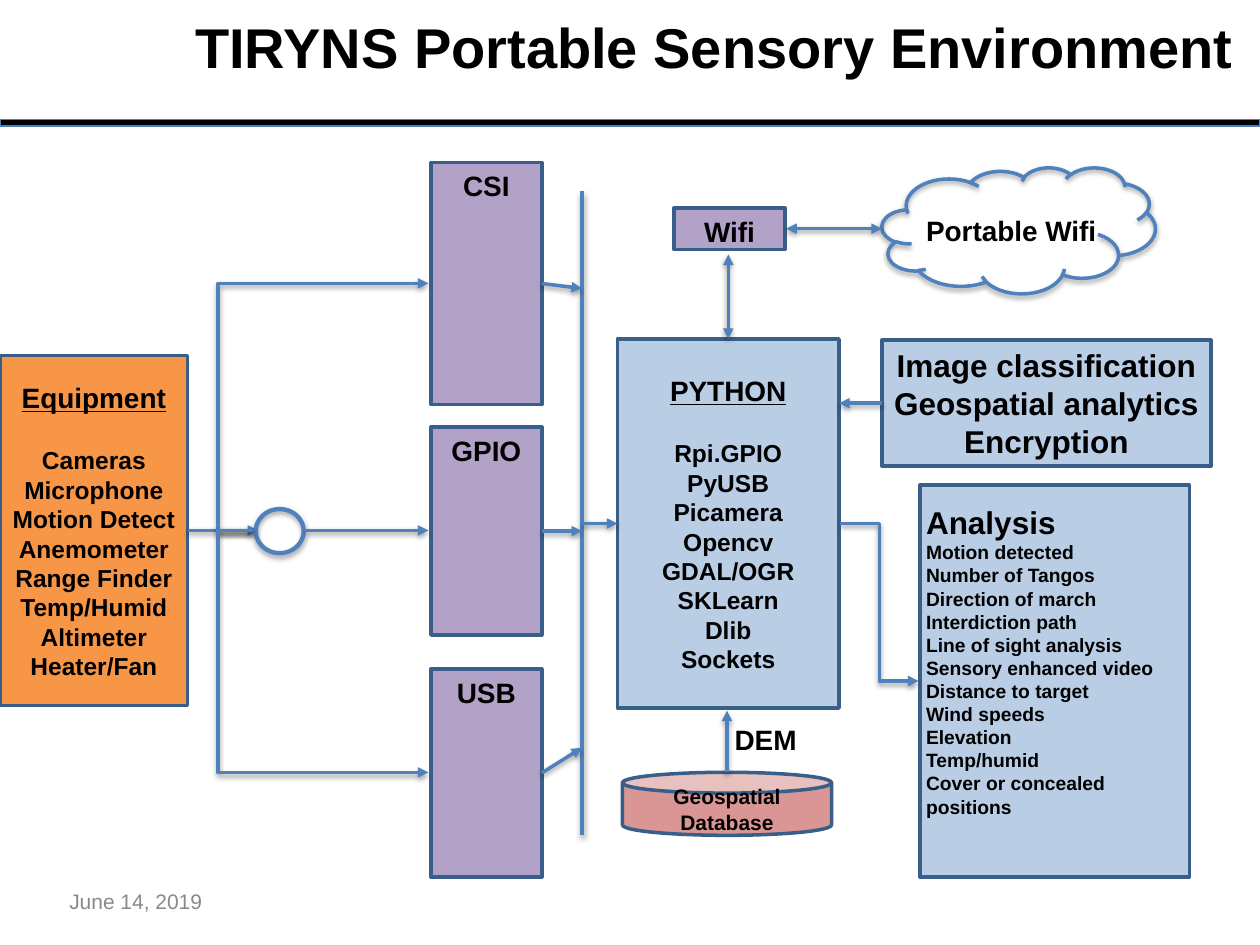
import dataclasses

import lxml.etree
import pptx
import pptx.dml.color
import pptx.enum.shapes
import pptx.enum.text
import pptx.oxml.ns
import pptx.util

Inches = pptx.util.Inches
Pt = pptx.util.Pt
SHAPE = pptx.enum.shapes.MSO_SHAPE
CONNECTOR = pptx.enum.shapes.MSO_CONNECTOR
ANCHOR = pptx.enum.text.MSO_ANCHOR
ALIGN = pptx.enum.text.PP_ALIGN


@dataclasses.dataclass(frozen=True)
class Theme:
    """Colours, type sizes and line widths of the slide."""
    font: str = "Arial"
    ink: str = "000000"
    muted: str = "898989"
    outline: str = "3A5E8A"
    flow: str = "4F81BD"
    rule: str = "4B7EBC"
    software: str = "B9CDE5"
    port: str = "B3A2C7"
    hardware: str = "F79646"
    storage: str = "D99694"
    title: float = 32
    heading: float = 18
    label: float = 16
    body: float = 14
    small: float = 12
    tiny: float = 11
    stroke: float = 2


@dataclasses.dataclass(frozen=True)
class Box:
    """A rectangle in inches."""
    left: float
    top: float
    width: float
    height: float

    @property
    def right(self):
        """Return the right edge."""
        return self.left + self.width

    @property
    def bottom(self):
        """Return the bottom edge."""
        return self.top + self.height

    @property
    def middle(self):
        """Return the vertical centre."""
        return self.top + self.height / 2

    @property
    def center(self):
        """Return the horizontal centre."""
        return self.left + self.width / 2

    def emu(self):
        """Return left, top, width and height as lengths."""
        return [Inches(v) for v in (self.left, self.top, self.width, self.height)]


THEME = Theme()


def rgb(value):
    """Turn a hex string into a colour."""
    return pptx.dml.color.RGBColor.from_string(value)


def add_child(parent, tag, **attributes):
    """Append a DrawingML element to its parent."""
    return lxml.etree.SubElement(parent, pptx.oxml.ns.qn(tag), attributes)


def cast_shadow(effects):
    """Put a soft downward shadow in an effect list."""
    shadow = add_child(effects, "a:outerShdw", blurRad=str(Pt(3)), dist=str(Pt(1.6)),
                       dir="5400000", rotWithShape="0")
    add_child(add_child(shadow, "a:srgbClr", val=THEME.ink), "a:alpha", val="38000")


def write(frame, lines, align=ALIGN.CENTER, anchor=ANCHOR.MIDDLE, inset=0.05, wrap=True,
          color=THEME.ink, bold=True):
    """Fill a text frame with (text, size) lines."""
    frame.word_wrap = wrap
    frame.auto_size = pptx.enum.text.MSO_AUTO_SIZE.NONE
    frame.vertical_anchor = anchor
    frame.margin_left = frame.margin_right = Inches(0.05)
    frame.margin_top = frame.margin_bottom = Inches(inset)
    for index, (text, size) in enumerate(lines):
        paragraph = frame.add_paragraph() if index else frame.paragraphs[0]
        paragraph.text = text
        paragraph.alignment = align
        paragraph.font.name = THEME.font
        paragraph.font.size = Pt(size)
        paragraph.font.bold = bold
        paragraph.font.color.rgb = rgb(color)


def block(slide, box, fill=None, lines=(), kind=SHAPE.RECTANGLE, line=THEME.outline,
          width=THEME.stroke, **text):
    """Draw an outlined shape holding text."""
    shape = slide.shapes.add_shape(kind, *box.emu())
    shape.shadow.inherit = False
    if fill:
        shape.fill.solid()
        shape.fill.fore_color.rgb = rgb(fill)
    else:
        shape.fill.background()
    shape.line.color.rgb = rgb(line)
    shape.line.width = Pt(width)
    write(shape.text_frame, lines, **text)
    return shape


def label(slide, box, text, size, **options):
    """Place free-standing text."""
    write(slide.shapes.add_textbox(*box.emu()).text_frame, [(text, size)],
          align=ALIGN.LEFT, **options)


def flow(slide, start, end, head=False, tail=True, elbow=None):
    """Connect two points, with arrowheads and an optional elbow position."""
    kind = CONNECTOR.STRAIGHT if elbow is None else CONNECTOR.ELBOW
    connector = slide.shapes.add_connector(kind, *[Inches(v) for v in (*start, *end)])
    connector.line.color.rgb = rgb(THEME.flow)
    connector.line.width = Pt(THEME.stroke)
    properties = connector._element.spPr
    outline = properties.find(pptx.oxml.ns.qn("a:ln"))
    for shown, tag in ((head, "a:headEnd"), (tail, "a:tailEnd")):
        if shown:
            add_child(outline, tag, type="triangle")
    if elbow is not None:
        guides = properties.find(".//" + pptx.oxml.ns.qn("a:avLst"))
        add_child(guides, "a:gd", name="adj1", fmla=f"val {round(elbow * 100000)}")
    cast_shadow(add_child(properties, "a:effectLst"))


def listing(slide, box, fill, heading, items):
    """Draw a panel with an underlined heading above centred items."""
    lines = [(heading, THEME.label)] + [(item, THEME.body) for item in items]
    paragraphs = block(slide, box, fill, lines).text_frame.paragraphs
    paragraphs[0].font.underline = True
    paragraphs[1].space_before = Pt(18)


def header(slide, box):
    """Set the title and the rule below it."""
    title = slide.shapes.title
    title.left, title.top, title.width, title.height = Box(
        box.left + 1.5, box.top + 0.05, box.width - 1.5, 0.66).emu()
    write(title.text_frame, [("TIRYNS Portable Sensory Environment", THEME.title)],
          align=ALIGN.LEFT, anchor=ANCHOR.TOP)
    block(slide, Box(box.left, box.bottom - 0.05, box.width, 0.05), THEME.ink,
          line=THEME.rule, width=0.75)


def equipment(slide, box, ports):
    """Draw the equipment and its fan-out to the port column."""
    listing(slide, box, THEME.hardware, "Equipment", [
        "Cameras", "Microphone", "Motion Detect", "Anemometer", "Range Finder",
        "Temp/Humid", "Altimeter", "Heater/Fan"])
    hub = Box(box.right + 0.54, box.middle - 0.17, 0.38, 0.35)
    flow(slide, (box.right, box.middle), (hub.left + 0.02, box.middle))
    ring = block(slide, hub, kind=SHAPE.OVAL, line=THEME.flow, width=2.5)
    cast_shadow(ring._element.spPr.find(pptx.oxml.ns.qn("a:effectLst")))
    end = ports.left - 0.02
    for y in (ports.top + 0.96, ports.bottom - 0.83):
        flow(slide, (hub.left - 0.02, box.middle), (end, y), elbow=-0.2)
    flow(slide, (hub.right + 0.02, box.middle), (end, box.middle))


def port_column(slide, box, core):
    """Stack the ports and join them to the bus that feeds the core."""
    bus = box.right + 0.32
    flow(slide, (bus, box.top + 0.23), (bus, box.bottom - 0.33), tail=False)
    for name, offset, height, drift in (
            ("CSI", 0, 1.92, 0.04), ("GPIO", 2.1, 1.65, 0), ("USB", 4.02, 1.65, -0.2)):
        port = Box(box.left, box.top + offset, box.width, height)
        block(slide, port, THEME.port, [(name, THEME.label)], anchor=ANCHOR.TOP)
        flow(slide, (port.right, port.middle), (bus, port.middle + drift))
    flow(slide, (bus, core.middle), (core.left, core.middle))


def processing(slide, box):
    """Draw the core libraries and the database below them."""
    listing(slide, box, THEME.software, "PYTHON", [
        "Rpi.GPIO", "PyUSB", "Picamera", "Opencv", "GDAL/OGR", "SKLearn", "Dlib", "Sockets"])
    database = Box(box.left + 0.04, box.bottom + 0.51, 1.66, 0.5)
    block(slide, database, THEME.storage,
          [("Geospatial Database", THEME.small)], kind=SHAPE.CAN, inset=0).adjustments[0] = 0.33
    flow(slide, (database.center, database.top), (database.center, box.bottom + 0.02))
    label(slide, Box(box.center, box.bottom + 0.06, 0.6, 0.37), "DEM", THEME.label, wrap=False)


def network(slide, box, core):
    """Draw the wireless link and its cloud."""
    wifi = Box(box.left, box.top + 0.32, 0.88, 0.33)
    cloud = Box(box.right - 2.17, box.top, 2.17, box.height)
    block(slide, wifi, THEME.port, [("Wifi", THEME.label)], anchor=ANCHOR.TOP)
    shape = block(slide, cloud, kind=SHAPE.CLOUD, line=THEME.flow)
    cast_shadow(shape._element.spPr.find(pptx.oxml.ns.qn("a:effectLst")))
    label(slide, Box(cloud.left + 0.3, cloud.top + 0.31, 1.47, 0.37), "Portable Wifi",
          THEME.label, wrap=False)
    flow(slide, (core.center, core.top), (core.center, wifi.bottom + 0.04), head=True)
    flow(slide, (wifi.right + 0.01, wifi.middle), (cloud.left, wifi.middle), head=True)


def results(slide, box, core):
    """Draw the methods feeding the core and the analysis it yields."""
    methods = Box(box.left, box.top, box.width, 1)
    block(slide, methods, THEME.software, [(text, THEME.heading) for text in (
        "Image classification", "Geospatial analytics", "Encryption")])
    flow(slide, (methods.left, methods.middle), (core.right, methods.middle))
    analysis = Box(box.left + 0.3, box.top + 1.15, 2.14, box.height - 1.15)
    findings = ["Motion detected", "Number of Tangos", "Direction of march",
                "Interdiction path", "Line of sight analysis", "Sensory enhanced video",
                "Distance to target", "Wind speeds", "Elevation", "Temp/humid",
                "Cover or concealed positions"]
    block(slide, analysis, THEME.software,
          [("Analysis", THEME.heading)] + [(text, THEME.tiny) for text in findings],
          align=ALIGN.LEFT, anchor=ANCHOR.TOP, inset=0.14)
    flow(slide, (core.right + 0.01, core.middle), (analysis.left - 0.01, analysis.middle),
         elbow=0.5)


def main():
    """Build and save the slide."""
    deck = pptx.Presentation()
    deck.slide_width, deck.slide_height = Inches(10), Inches(7.5)
    slide = deck.slides.add_slide(deck.slide_layouts[5])
    ports = Box(3.42, 1.29, 0.88, 5.67)
    core = Box(4.9, 2.69, 1.76, 2.93)
    header(slide, Box(0, 0, 10, 1))
    processing(slide, core)
    port_column(slide, ports, core)
    equipment(slide, Box(0, 2.82, 1.49, 2.78), ports)
    network(slide, Box(5.35, 1.33, 3.82, 1), core)
    results(slide, Box(7, 2.7, 2.61, 4.26), core)
    label(slide, Box(0.5, 7, 2.33, 0.3), "June 14, 2019", THEME.small,
          color=THEME.muted, bold=False)
    deck.save("out.pptx")


if __name__ == "__main__":
    main()
